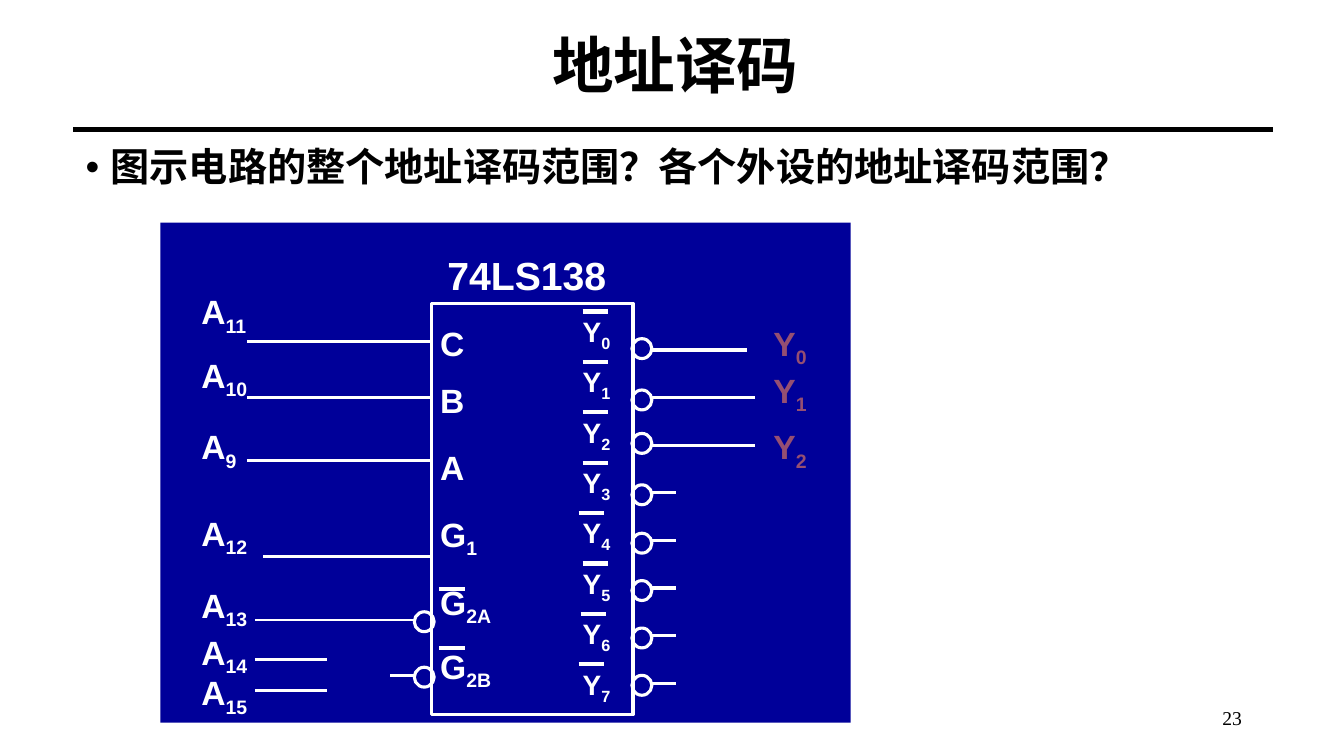
from dataclasses import dataclass

from lxml import etree
from pptx import Presentation
from pptx.dml.color import RGBColor
from pptx.enum.shapes import MSO_CONNECTOR, MSO_SHAPE
from pptx.enum.text import MSO_ANCHOR, PP_ALIGN
from pptx.oxml.ns import qn
from pptx.util import Pt

LEFT, CENTER, RIGHT = PP_ALIGN.LEFT, PP_ALIGN.CENTER, PP_ALIGN.RIGHT
TOP, MIDDLE = MSO_ANCHOR.TOP, MSO_ANCHOR.MIDDLE
STRAIGHT = MSO_CONNECTOR.STRAIGHT
RECTANGLE, OVAL = MSO_SHAPE.RECTANGLE, MSO_SHAPE.OVAL

COLORS = {"ink": "000000", "board": "000099", "wire": "FFFFFF", "output": "954F72"}
HEADING_FONT, LABEL_FONT, NUMBER_FONT = "Noto Sans CJK SC", "Arial", "Times New Roman"
BUBBLE_SIZE = 14.2


@dataclass
class Style:
    size: float
    color: str = "wire"
    font: str = LABEL_FONT
    bold: bool = True


@dataclass
class Label:
    base: str
    sub: str = ""
    space_before: float = 0


@dataclass
class Signal:
    """A named line outside the chip, with its label's box."""
    label: Label
    left: float
    top: float
    width: float
    color: str


@dataclass
class Wire:
    start: float
    end: float
    y: float
    weight: float = 2


SIGNALS = [
    Signal(Label("A", "11"), 136.8, 204.5, 57, "wire"),
    Signal(Label("A", "10"), 136.8, 249.8, 57, "wire"),
    Signal(Label("A", "9"), 136.8, 301, 57, "wire"),
    Signal(Label("A", "12"), 136.8, 362.9, 57, "wire"),
    Signal(Label("A", "13"), 136.8, 414, 57, "wire"),
    Signal(Label("A", "14"), 136.8, 447.8, 57, "wire"),
    Signal(Label("A", "15"), 136.8, 476.6, 57, "wire"),
    Signal(Label("Y", "0"), 545.3, 226.8, 68, "output"),
    Signal(Label("Y", "1"), 545.3, 260.6, 68, "output"),
    Signal(Label("Y", "2"), 545.3, 301, 68, "output"),
]
INPUT_PINS = [
    Label("C"), Label("B", "", 12.3), Label("A", "", 19.3),
    Label("G", "1", 18.6), Label("G", "2A", 15.8), Label("G", "2B", 13),
]
# This spacing gives the output pins the same 36 pt pitch as their overbars.
OUTPUT_PINS = [Label("Y", str(i), 8.7 if i else 0) for i in range(8)]

INPUT_WIRES = [
    Wire(176.4, 307.5, 244), Wire(176.4, 307.5, 283.7), Wire(176.4, 307.5, 329),
    Wire(188, 307.5, 397.4), Wire(182, 296, 442.8), Wire(278.6, 296, 482.4),
    Wire(182, 233.3, 471), Wire(182, 233.3, 493.2),
]
OUTPUT_ENDS = [533.5, 539.3, 539.3] + [483.1] * 5
OUTPUT_WIRES = [Wire(465.8, end, 250 + 34 * i, 2.25) for i, end in enumerate(OUTPUT_ENDS)]
INVERSION_STARTS = [416.2, 416.2, 416.2, 416.2, 413.3, 416.2, 414.7, 413.3]
INVERSION_BARS = [Wire(x, x + 18, 222.5 + 36 * i, 3) for i, x in enumerate(INVERSION_STARTS)]
INVERSION_BARS += [Wire(313.9, 331.9, y, 3) for y in (420.5, 463)]

OUTPUT_BUBBLE_TOPS = [241.9, 278.6, 309.6, 346.3, 380.9, 414.7, 448.6, 482.4]
BUBBLES = [(451.4, top) for top in OUTPUT_BUBBLE_TOPS] + [(295.9, 437), (295.9, 476.6)]


def rgb(name: str) -> RGBColor:
    return RGBColor.from_string(COLORS[name])


def add_box(slide, left: float, top: float, width: float, height: float, anchor=TOP):
    """Add a wrapping text box and return its text frame."""
    frame = slide.shapes.add_textbox(Pt(left), Pt(top), Pt(width), Pt(height)).text_frame
    frame.word_wrap = True
    frame.vertical_anchor = anchor
    return frame


def add_run(paragraph, text: str, style: Style, lowered: bool = False) -> None:
    run = paragraph.add_run()
    run.text = text
    font = run.font
    font.size, font.bold, font.name = Pt(style.size), style.bold, style.font
    font.color.rgb = rgb(style.color)
    properties = run._r.get_or_add_rPr()
    etree.SubElement(properties, qn("a:ea")).set("typeface", style.font)
    if lowered:
        properties.set("baseline", "-25000")


def write_labels(frame, labels: list[Label], style: Style) -> None:
    for i, label in enumerate(labels):
        paragraph = frame.add_paragraph() if i else frame.paragraphs[0]
        paragraph.space_before = Pt(label.space_before)
        add_run(paragraph, label.base, style)
        if label.sub:
            add_run(paragraph, label.sub, style, lowered=True)


def add_wire(slide, wire: Wire, color: str = "wire") -> None:
    line = slide.shapes.add_connector(
        STRAIGHT, Pt(wire.start), Pt(wire.y), Pt(wire.end), Pt(wire.y))
    line.line.color.rgb = rgb(color)
    line.line.width = Pt(wire.weight)
    etree.SubElement(line._element.spPr, qn("a:effectLst"))


def add_outline(slide, preset, left: float, top: float, width: float, height: float):
    shape = slide.shapes.add_shape(preset, Pt(left), Pt(top), Pt(width), Pt(height))
    shape.shadow.inherit = False
    shape.fill.background()
    shape.line.color.rgb = rgb("wire")
    shape.line.width = Pt(2.25)
    return shape


def add_heading(slide) -> None:
    add_wire(slide, Wire(52.5, 909.5, 92.5, 3), "ink")
    title = add_box(slide, 54, 18, 856.8, 61.2, MIDDLE).paragraphs[0]
    title.alignment, title.line_spacing = CENTER, 0.9
    add_run(title, "地址译码", Style(44, "ink", HEADING_FONT))

    question = add_box(slide, 54, 102.2, 850.3, 366.5).paragraphs[0]
    properties = question._p.get_or_add_pPr()
    properties.set("marL", str(Pt(18)))
    properties.set("indent", str(Pt(-18)))
    etree.SubElement(properties, qn("a:buFont")).set("typeface", LABEL_FONT)
    etree.SubElement(properties, qn("a:buChar")).set("char", "•")
    question.alignment, question.line_spacing = LEFT, 0.9
    add_run(question, "图示电路的整个地址译码范围？各个外设的地址译码范围？",
            Style(28, "ink", HEADING_FONT))

    number = add_box(slide, 678.2, 498.2, 216, 28.8, MIDDLE).paragraphs[0]
    number.alignment = RIGHT
    add_run(number, "23", Style(14, "ink", NUMBER_FONT, False))


def add_decoder(slide) -> None:
    board = add_outline(slide, RECTANGLE, 114.5, 159.1, 493.2, 357.1)
    board.fill.solid()
    board.fill.fore_color.rgb = rgb("board")
    board.line.fill.background()

    write_labels(add_box(slide, 312.5, 175.7, 136, 41), [Label("74LS138")], Style(28))
    write_labels(add_box(slide, 307.4, 226.8, 62.6, 272.2), INPUT_PINS, Style(24))
    write_labels(add_box(slide, 409, 221, 51, 283), OUTPUT_PINS, Style(20))
    for signal in SIGNALS:
        frame = add_box(slide, signal.left, signal.top, signal.width, 36)
        write_labels(frame, [signal.label], Style(24, signal.color))

    add_outline(slide, RECTANGLE, 308.2, 216.7, 144, 293.8)
    for wire in INPUT_WIRES + OUTPUT_WIRES + INVERSION_BARS:
        add_wire(slide, wire)
    for left, top in BUBBLES:
        add_outline(slide, OVAL, left, top, BUBBLE_SIZE, BUBBLE_SIZE)


def main() -> None:
    deck = Presentation()
    deck.slide_width, deck.slide_height = Pt(960), Pt(540)
    slide = deck.slides.add_slide(deck.slide_layouts[6])
    add_heading(slide)
    add_decoder(slide)
    deck.save("out.pptx")


if __name__ == "__main__":
    main()
